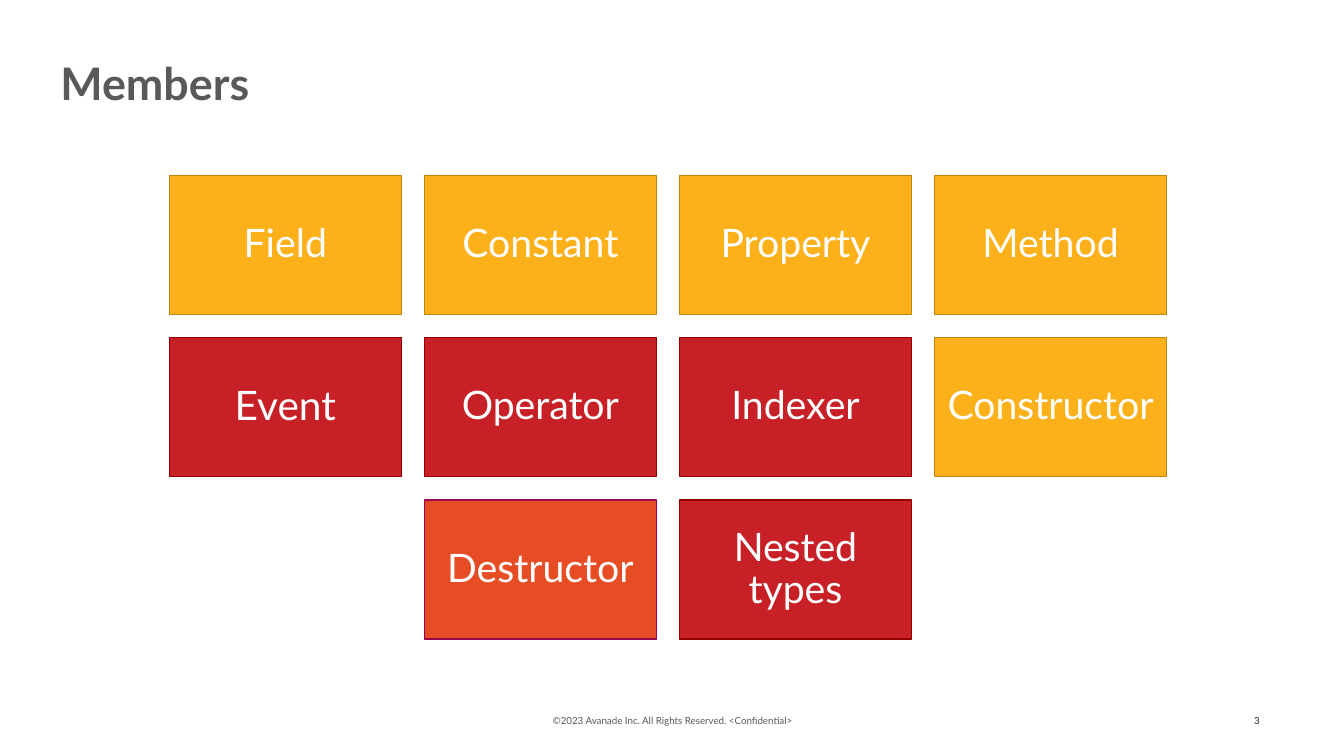
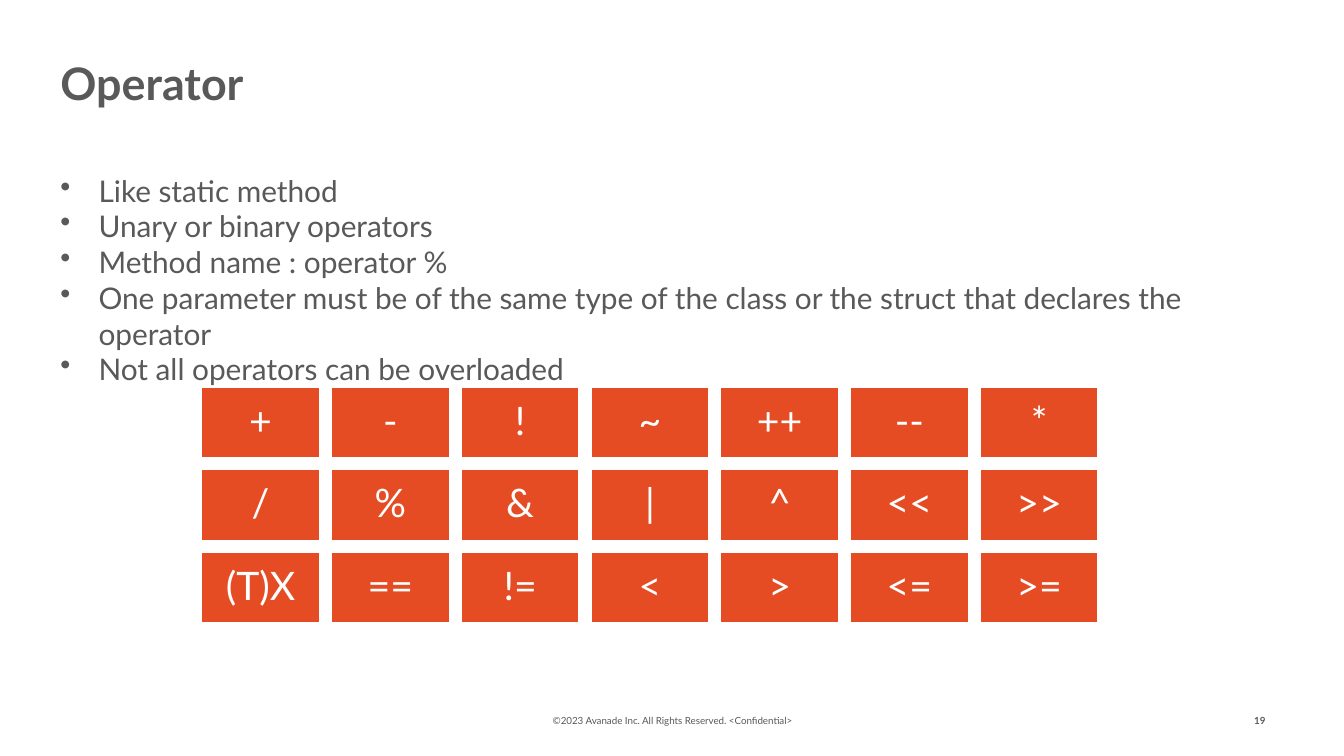
from lxml import etree
from pptx import Presentation
from pptx.dml.color import RGBColor
from pptx.enum.shapes import MSO_SHAPE
from pptx.enum.text import MSO_ANCHOR, PP_ALIGN
from pptx.oxml.ns import qn
from pptx.util import Inches, Pt

RECTANGLE = MSO_SHAPE.RECTANGLE
TOP, MIDDLE = MSO_ANCHOR.TOP, MSO_ANCHOR.MIDDLE
LEFT, CENTER = PP_ALIGN.LEFT, PP_ALIGN.CENTER

COLORS = {
    "text": "595959",
    "white": "FFFFFF",
    "yellow": "FCB019",
    "yellow line": "BD840F",
    "red": "C82027",
    "red line": "940000",
    "orange": "E74D24",
    "orange line": "98044E",
    "operator": "E54C24",
}
FONT = "Lato"
WIDTH, HEIGHT = 13.33, 7.5
MARGIN, CONTENT_WIDTH = 0.5, 12.25
FOOTER_TOP, FOOTER_HEIGHT = 6.95, 0.4
FOOTER = "©2023 Avanade Inc. All Rights Reserved. <Confidential>"
HANGING = 0.38
TILE_RATIO, TILE_GAP = 0.6, 0.1  # tile height and gap as shares of tile width


def add_text(slide, text, box, size, color="text", bold=False, align=LEFT, anchor=TOP,
             fill=None, line=None, inset=None, spacing=None, bullet=None):
    """Add a text box, or a rectangle if a fill is given; one paragraph per line."""
    box = [Inches(length) for length in box]
    if fill:
        shape = slide.shapes.add_shape(RECTANGLE, *box)
        shape.shadow.inherit = False
        shape.fill.solid()
        shape.fill.fore_color.rgb = RGBColor.from_string(COLORS[fill])
        shape.line.color.rgb = RGBColor.from_string(COLORS[line])
        shape.line.width = Pt(1)
    else:
        shape = slide.shapes.add_textbox(*box)
    frame = shape.text_frame
    frame.word_wrap = True
    frame.vertical_anchor = anchor
    if inset is not None:
        frame.margin_left = frame.margin_right = Inches(inset)
        frame.margin_top = frame.margin_bottom = Inches(inset)
    frame.text = text
    for paragraph in frame.paragraphs:
        paragraph.alignment = align
        if spacing:
            paragraph.line_spacing = spacing
        if bullet:
            properties = paragraph._p.get_or_add_pPr()
            properties.set("marL", str(Inches(HANGING)))
            properties.set("indent", str(-Inches(HANGING)))
            etree.SubElement(properties, qn("a:buChar")).set("char", bullet)
        font = paragraph.runs[0].font
        font.name, font.size, font.bold = FONT, Pt(size), bold
        font.color.rgb = RGBColor.from_string(COLORS[color])


def add_tiles(slide, rows, left, top, tile_width):
    """Lay out rows of (text, fill, line, size) tiles; None leaves a cell empty."""
    tile_height, gap = tile_width * TILE_RATIO, tile_width * TILE_GAP
    for row, tiles in enumerate(rows):
        for column, tile in enumerate(tiles):
            if tile is None:
                continue
            text, fill, line, size = tile
            box = (left + column * (tile_width + gap), top + row * (tile_height + gap),
                   tile_width, tile_height)
            add_text(slide, text, box, size, color="white", align=CENTER, anchor=MIDDLE,
                     fill=fill, line=line, inset=0.12, spacing=0.9)


presentation = Presentation()
presentation.slide_width, presentation.slide_height = Inches(WIDTH), Inches(HEIGHT)

# Title, footer and slide number of every slide
slides = []
for title, number in (("Members", "3"), ("Operator", "19")):
    slide = presentation.slides.add_slide(presentation.slide_layouts[6])
    add_text(slide, FOOTER, (4.42, FOOTER_TOP, 4.5, FOOTER_HEIGHT), 7,
             align=CENTER, anchor=MIDDLE)
    add_text(slide, title, (MARGIN, MARGIN, CONTENT_WIDTH, 0.66), 32, bold=True)
    add_text(slide, number, (12.34, FOOTER_TOP, 0.41, FOOTER_HEIGHT), 7,
             bold=True, anchor=MIDDLE)
    slides.append(slide)
members_slide, operator_slide = slides

# Members: coloured tiles, the last row centred
member_rows = [
    [("Field", "yellow"), ("Constant", "yellow"), ("Property", "yellow"), ("Method", "yellow")],
    [("Event", "red"), ("Operator", "red"), ("Indexer", "red"), ("Constructor", "yellow")],
    [None, ("Destructor", "orange"), ("Nested types", "red")],
]
member_sizes = {"Event": 29}
add_tiles(members_slide,
          [[member and (*member, member[1] + " line", member_sizes.get(member[0], 28))
            for member in row] for row in member_rows],
          left=1.68, top=1.74, tile_width=2.3)

# Operator: bullet list
operator_points = [
    "Like static method",
    "Unary or binary operators",
    "Method name : operator %",
    "One parameter must be of the same type of the class or the struct that declares the operator",
    "Not all operators can be overloaded",
]
add_text(operator_slide, "\n".join(operator_points), (MARGIN, 1.66, CONTENT_WIDTH, 4.85),
         21.3, bullet="•")

# Operator: tiles of the operators that can be overloaded
operator_rows = ["+ - ! ~ ++ -- *", "/ % & | ^ << >>", "(T)X == != < > <= >="]
add_tiles(operator_slide,
          [[(symbol, "operator", "white", 28) for symbol in row.split()]
           for row in operator_rows],
          left=2, top=3.84, tile_width=1.17)

presentation.save("out.pptx")
